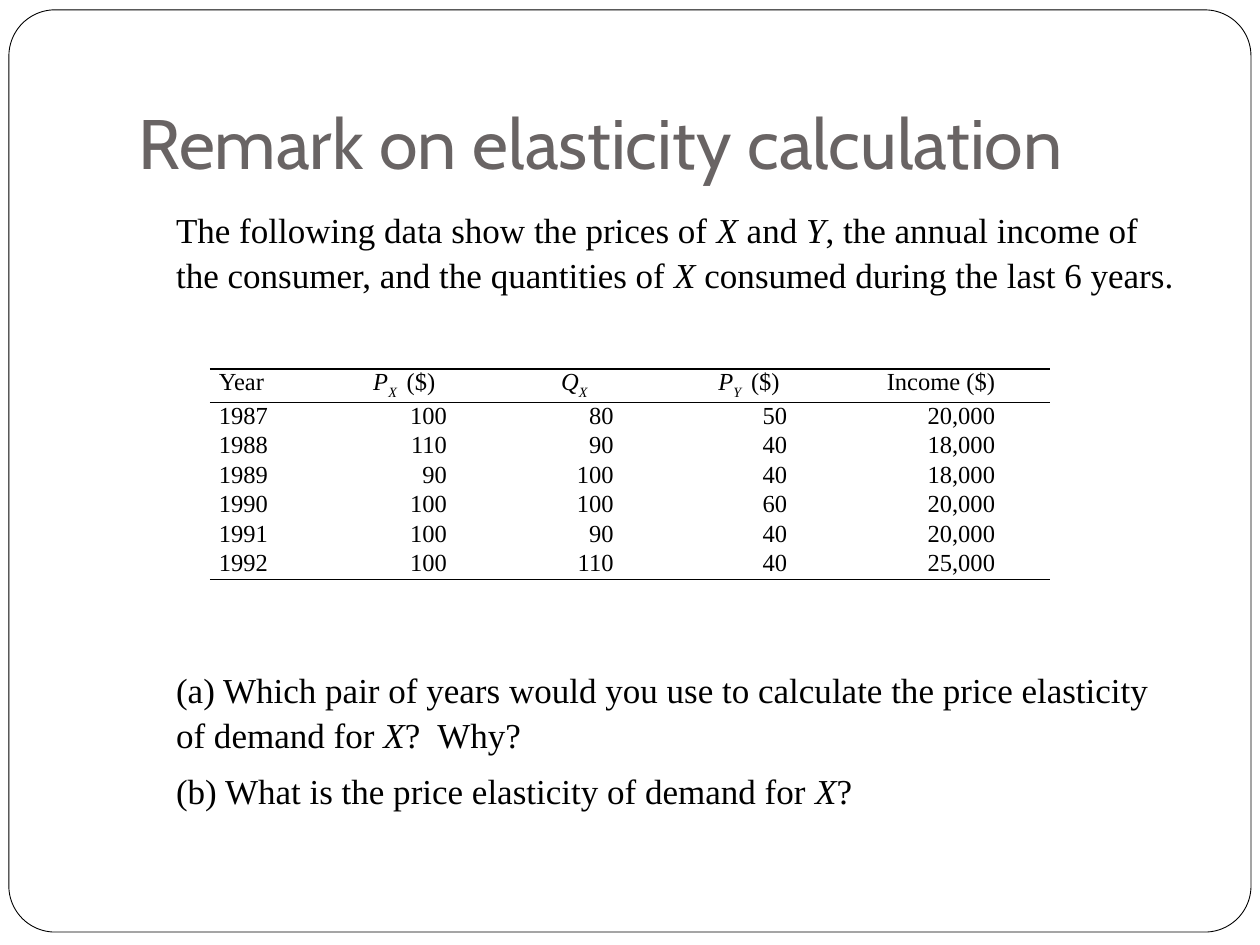
from dataclasses import dataclass

from lxml.etree import SubElement
from pptx import Presentation
from pptx.dml.color import RGBColor
from pptx.enum.shapes import MSO_SHAPE as Shape
from pptx.enum.text import MSO_ANCHOR as Anchor, PP_ALIGN as Align
from pptx.oxml.ns import qn
from pptx.util import Cm, Pt

SERIF = "Times New Roman"
BLACK = "000000"
NO_STYLE = "{2D5ABB26-0587-4C30-8999-92F81FD0307C}"


@dataclass(frozen=True)
class Span:
    text: str
    italic: bool = False
    lowered: bool = False


@dataclass(frozen=True)
class Column:
    width: float
    right_margin: float
    heading: tuple[Span, ...]
    values: tuple[str, ...]
    heading_align: Align = Align.CENTER
    value_align: Align = Align.RIGHT


@dataclass(frozen=True)
class Passage:
    top: float
    height: float
    paragraphs: tuple[tuple[Span, ...], ...]


X = Span("X", italic=True)
Y = Span("Y", italic=True)


def symbol(letter: str, index: str, unit: str = "") -> tuple[Span, ...]:
    spans = (Span(letter, italic=True), Span(index, italic=True, lowered=True))
    return spans + ((Span(unit),) if unit else ())


COLUMNS = (
    Column(2.33, 0.18, (Span("Year"),),
           ("1987", "1988", "1989", "1990", "1991", "1992"), Align.LEFT, Align.LEFT),
    Column(3.18, 0.73, symbol("P", "X ", " ($)"), ("100", "110", "90", "100", "100", "100")),
    Column(3.68, 1.05, symbol("Q", "X"), ("80", "90", "100", "100", "90", "110")),
    Column(3.36, 0.91, symbol("P", "Y ", " ($)"), ("50", "40", "40", "60", "40", "40")),
    Column(4.38, 1.1, (Span("Income ($)"),),
           ("20,000", "18,000", "18,000", "20,000", "20,000", "25,000")),
)

PASSAGES = (
    Passage(4.01, 2.2, ((
        Span("The following data show the prices of "), X, Span(" and "), Y,
        Span(", the annual income of the consumer, and the quantities of "), X,
        Span(" consumed during the last 6 years."),
    ),)),
    Passage(13.28, 3.4, (
        (Span("(a) Which pair of years would you use to calculate the price elasticity "
              "of demand for "), X, Span("?  Why?")),
        (Span("(b) What is the price elasticity of demand for "), X, Span("?")),
    )),
)


def color(value: str) -> RGBColor:
    return RGBColor.from_string(value)


def write(para, spans: tuple[Span, ...], *, size: float, font: str = SERIF,
          fill: str = BLACK, align: Align = Align.LEFT,
          before: float = 0, spacing: float = 1.0) -> None:
    para.alignment = align
    para.space_before = Pt(before)
    para.line_spacing = spacing
    for span in spans:
        run = para.add_run()
        run.text = span.text
        run.font.name = font
        run.font.size = Pt(size)
        run.font.italic = span.italic
        run.font.color.rgb = color(fill)
        if span.lowered:
            run.font._element.set("baseline", "-25000")


def add_frame(page) -> None:
    frame = page.shapes.add_shape(
        Shape.ROUNDED_RECTANGLE, Cm(0.18), Cm(0.2), Cm(25.04), Cm(18.59))
    frame.adjustments[0] = 0.05
    frame.shadow.inherit = False
    frame.fill.solid()
    frame.fill.fore_color.rgb = color("FFFFFF")
    frame.line.color.rgb = color(BLACK)
    frame.line.width = Pt(0.5)


def add_box(page, left: float, top: float, width: float, height: float):
    box = page.shapes.add_textbox(Cm(left), Cm(top), Cm(width), Cm(height))
    box.text_frame.word_wrap = True
    return box.text_frame


def add_title(page) -> None:
    text = add_box(page, 2.54, 0.76, 21.59, 3.18)
    text.vertical_anchor = Anchor.BOTTOM
    text.margin_bottom = Cm(0.25)
    write(text.paragraphs[0], (Span("Remark on elasticity calculation"),),
          size=40, font="Cabin", fill="696464")


def add_passage(page, passage: Passage) -> None:
    text = add_box(page, 3.3, passage.top, 20.83, passage.height)
    for index, spans in enumerate(passage.paragraphs):
        para = text.add_paragraph() if index else text.paragraphs[0]
        write(para, spans, size=20, before=5.8 if index else 0, spacing=1.08)


def add_rule(cell, side: str) -> None:
    line = SubElement(cell._tc.get_or_add_tcPr(), qn(f"a:{side}"), w=str(Pt(1)))
    fill = SubElement(line, qn("a:solidFill"))
    SubElement(fill, qn("a:srgbClr"), val=BLACK)


def add_data_table(page) -> None:
    count = len(COLUMNS[0].values) + 1
    width = sum(column.width for column in COLUMNS)
    table = page.shapes.add_table(
        count, len(COLUMNS), Cm(4.23), Cm(7.44), Cm(width), Cm(3.94)).table
    table.first_row = table.horz_banding = False
    table._tbl.tblPr.find(qn("a:tableStyleId")).text = NO_STYLE
    for index, row in enumerate(table.rows):
        row.height = Cm(0.55 if index else 0.63)
    for place, column in enumerate(COLUMNS):
        table.columns[place].width = Cm(column.width)
        contents = [column.heading] + [(Span(value),) for value in column.values]
        for index, spans in enumerate(contents):
            cell = table.cell(index, place)
            cell.margin_left = Cm(0.18)
            cell.margin_right = Cm(column.right_margin if index else 0.18)
            cell.margin_top = cell.margin_bottom = 0
            write(cell.text_frame.paragraphs[0], spans, size=14,
                  align=column.value_align if index else column.heading_align)
            if index == 0:
                add_rule(cell, "lnT")
            if index in (0, count - 1):
                add_rule(cell, "lnB")
            cell.fill.background()


def main() -> None:
    deck = Presentation()
    deck.slide_width, deck.slide_height = Cm(25.4), Cm(19.05)
    page = deck.slides.add_slide(deck.slide_layouts[6])
    add_frame(page)
    add_title(page)
    for passage in PASSAGES:
        add_passage(page, passage)
    add_data_table(page)
    deck.save("out.pptx")


if __name__ == "__main__":
    main()
